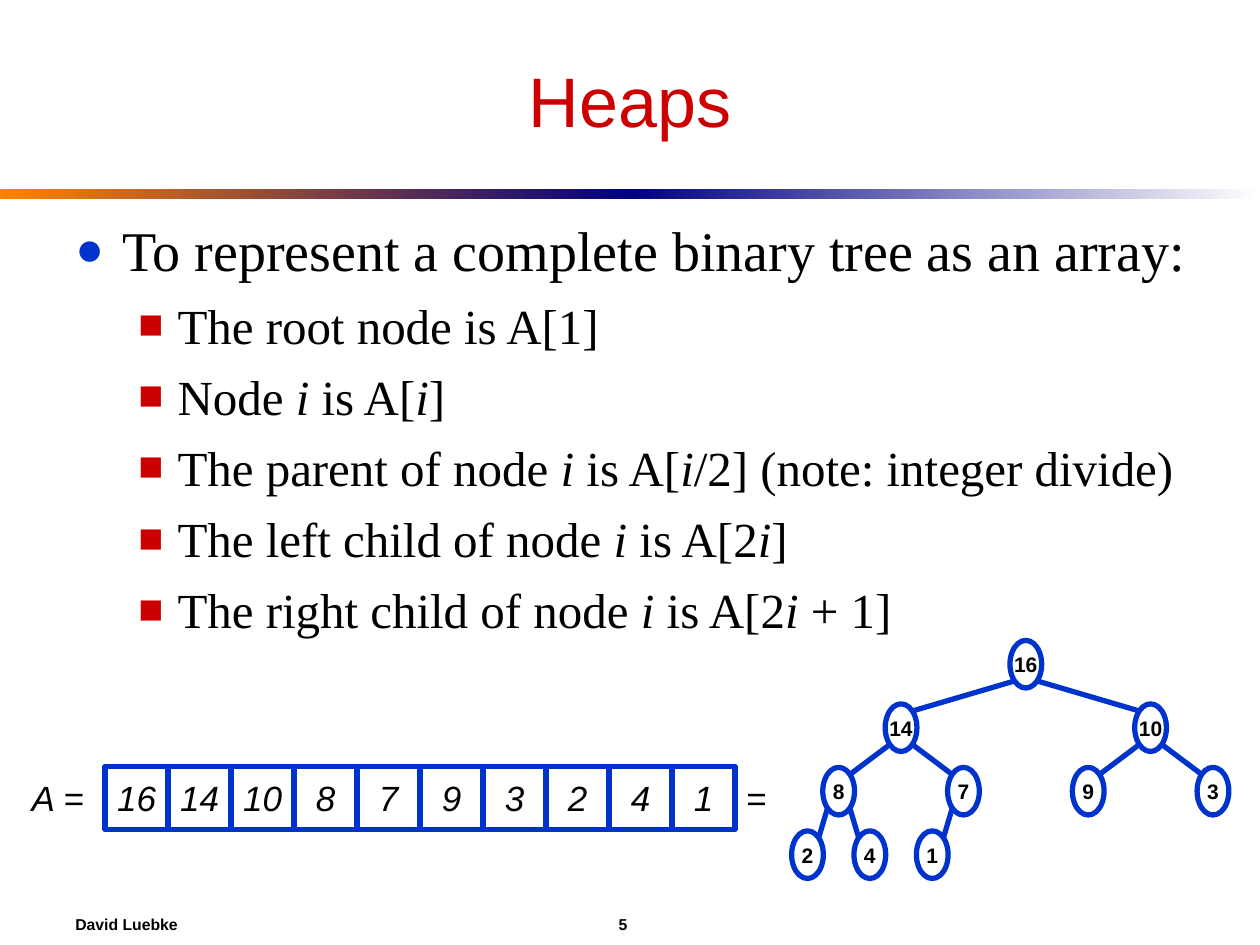
from lxml import etree
from pptx import Presentation
from pptx.dml.color import RGBColor
from pptx.enum import shapes, text
from pptx.oxml import ns
from pptx.util import Cm, Pt

HUES = {"ink": "000000", "paper": "FFFFFF", "blue": "0033CC", "red": "CC0000",
        "orange": "FF8200", "navy": "000082"}
HEAP = [16, 14, 10, 8, 7, 9, 3, 2, 4, 1]
ITEMS = [
    "The root node is A[1]",
    "Node |i| is A[|i|]",
    "The parent of node |i| is A[|i|/2] (note: integer divide)",
    "The left child of node |i| is A[2|i|]",
    "The right child of node |i| is A[2|i| + 1]",
]


def hue(name):
    return RGBColor.from_string(HUES[name])


def sub(node, tag, **attrs):
    return etree.SubElement(node, ns.qn(tag), attrs)


def add_run(para, words, size, face="Arial", tint="ink", bold=False, slant=False):
    run = para.add_run()
    run.text = words
    font = run.font
    font.name, font.size = face, Pt(size)
    font.bold, font.italic = bold, slant
    font.color.rgb = hue(tint)


def set_frame(shape, wrap=False):
    frame = shape.text_frame
    frame.word_wrap = wrap
    frame.auto_size = text.MSO_AUTO_SIZE.NONE
    frame.vertical_anchor = text.MSO_ANCHOR.MIDDLE
    para = frame.paragraphs[0]
    para.alignment = text.PP_ALIGN.CENTER
    return para


def add_title(slide, words):
    title = slide.shapes.title
    title.left, title.top, title.width, title.height = Cm(1.27), Cm(0.64), Cm(22.86), Cm(2.75)
    add_run(set_frame(title, True), words, 40, tint="red")


def add_band(slide, left, start, end):
    band = slide.shapes.add_shape(shapes.MSO_SHAPE.RECTANGLE, Cm(left), Cm(3.81), Cm(12.7), Cm(0.2))
    band.shadow.inherit = False
    band.line.fill.background()
    band.fill.gradient()
    band.fill.gradient_angle = 0
    for stop, tint, place in zip(band.fill.gradient_stops, (start, end), (0, 1)):
        stop.color.rgb = hue(tint)
        stop.position = place


def add_label(slide, words, left, width):
    box = slide.shapes.add_textbox(Cm(left), Cm(15.45), Cm(width), Cm(1.27))
    add_run(set_frame(box), words, 20, slant=True)


def add_cell(group, kind, words, left, top, width, height, **style):
    cell = group.add_shape(kind, Cm(left), Cm(top), Cm(width), Cm(height))
    cell.shadow.inherit = False
    cell.fill.solid()
    cell.fill.fore_color.rgb = hue("paper")
    cell.line.color.rgb = hue("blue")
    cell.line.width = Pt(3)
    add_run(set_frame(cell), words, **style)


def add_edge(group, start, end):
    edge = group.add_connector(shapes.MSO_CONNECTOR.STRAIGHT, *map(Cm, start + end))
    edge.line.color.rgb = hue("blue")
    edge.line.width = Pt(3)
    sub(edge._element.spPr, "a:effectLst")


def add_point(para, words, size, mark, tint, left, hang, gap):
    para.space_before = Pt(gap)
    props = para._p.get_or_add_pPr()
    props.set("marL", str(Cm(left)))
    props.set("indent", str(-Cm(hang)))
    sub(sub(props, "a:buClr"), "a:srgbClr", val=HUES[tint])
    sub(props, "a:buSzPct", val="85000")
    sub(props, "a:buFont", typeface="Times New Roman")
    sub(props, "a:buChar", char=mark)
    for spot, part in enumerate(words.split("|")):
        add_run(para, part, size, "Times New Roman", slant=spot % 2 == 1)


def add_body(slide):
    box = slide.shapes.add_textbox(Cm(1.27), Cm(4.23), Cm(23.07), Cm(12.07))
    frame = box.text_frame
    frame.word_wrap = True
    add_point(frame.paragraphs[0], "To represent a complete binary tree as an array:",
              32, "●", "blue", 0.95, 0.95, 8)
    for item in ITEMS:
        para = frame.add_paragraph()
        para.level = 1
        add_point(para, item, 28, "■", "red", 2.06, 0.79, 7)


def add_array(slide):
    add_label(slide, "A =", 0.21, 1.91)
    for spot, key in enumerate(HEAP):
        add_cell(slide.shapes, shapes.MSO_SHAPE.RECTANGLE, str(key), 2.12 + 1.27 * spot,
                 15.45, 1.27, 1.27, size=20, slant=True)
    add_label(slide, "=", 14.82, 0.85)


def find_node(index):
    depth = index.bit_length() - 1
    row = 2 ** depth
    return 15.65 + 10.06 * (index - row + 0.5) / row, 13.39 + 1.28 * depth


def add_tree(slide):
    group = slide.shapes.add_group_shape().shapes
    wide, high = 0.64, 0.96
    for index, key in enumerate(HEAP, 1):
        x, y = find_node(index)
        add_cell(group, shapes.MSO_SHAPE.OVAL, str(key), x - wide / 2, y - high / 2,
                 wide, high, size=12, bold=True)
    dx, dy = 0.35 * wide, 0.35 * high
    for index in range(2, len(HEAP) + 1):
        x, y = find_node(index)
        px, py = find_node(index // 2)
        side = 1 if index % 2 else -1
        add_edge(group, (px + side * dx, py + dy), (x - side * dx, y - dy))


def add_footer(slide):
    box = slide.shapes.add_textbox(Cm(1.27), Cm(18.21), Cm(22.86), Cm(0.84))
    para = set_frame(box)
    para.alignment = text.PP_ALIGN.LEFT
    tabs = sub(para._p.get_or_add_pPr(), "a:tabLst")
    sub(tabs, "a:tab", pos=str(Cm(10.95)), algn="l")
    add_run(para, "David Luebke\t5", 9, bold=True)


def main():
    deck = Presentation()
    deck.slide_width, deck.slide_height = Cm(25.4), Cm(19.05)
    slide = deck.slides.add_slide(deck.slide_layouts[5])
    add_band(slide, 0, "orange", "navy")
    add_band(slide, 12.7, "navy", "paper")
    add_footer(slide)
    add_title(slide, "Heaps")
    add_body(slide)
    add_tree(slide)
    add_array(slide)
    deck.save("out.pptx")


if __name__ == "__main__":
    main()
